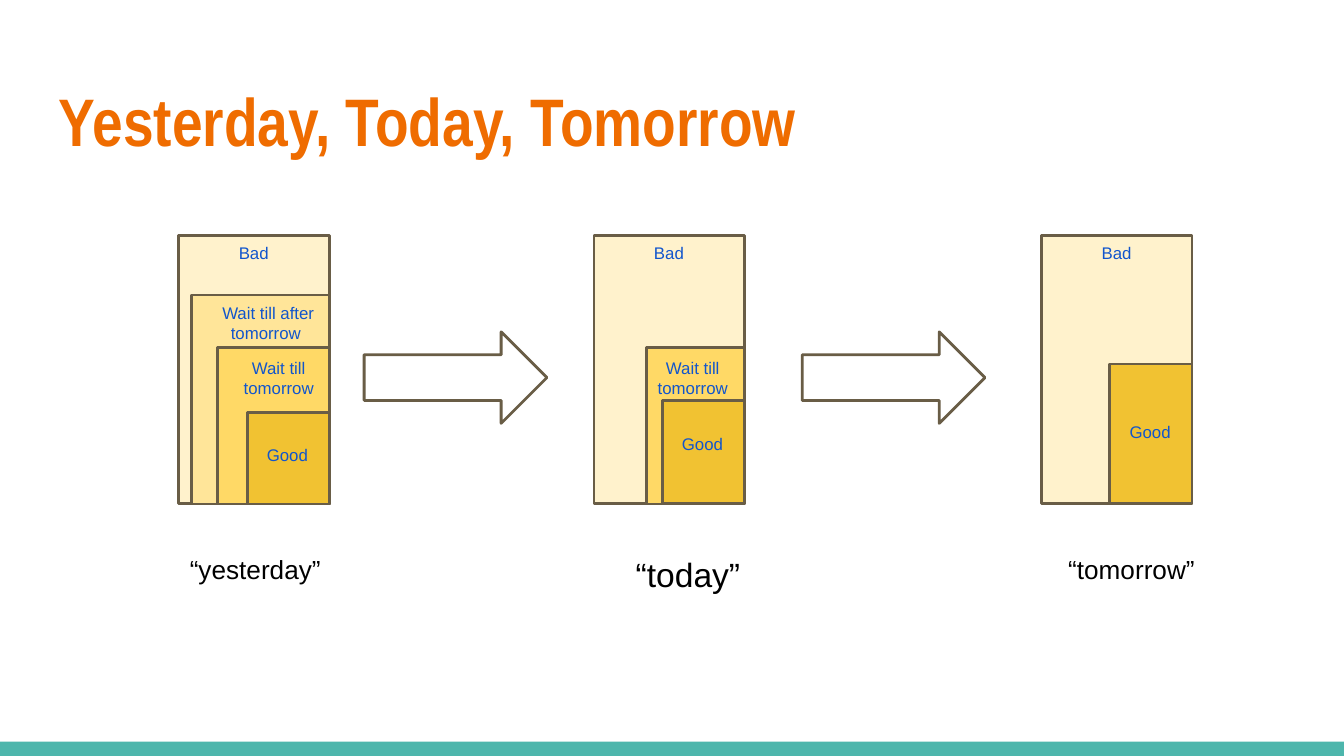
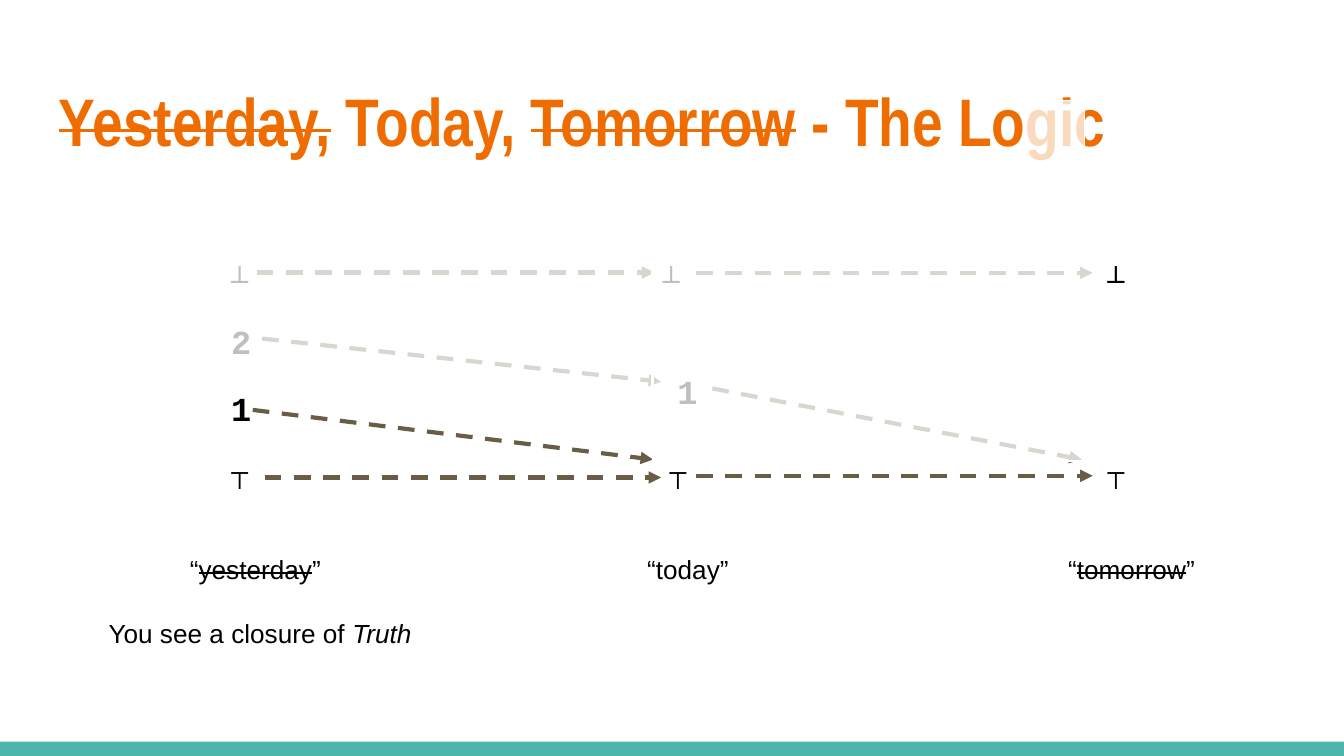
from lxml import etree
from pptx import Presentation
from pptx.dml.color import RGBColor
from pptx.enum import dml, shapes, text
from pptx.oxml import ns
from pptx.util import Pt

WIDTH, HEIGHT = 720, 405
TEAL, ORANGE, BROWN = "4DB6AC", "EF6C00", "695D46"
BLUE, BLACK, WHITE = "1155CC", "000000", "FFFFFF"
CREAM, PALE, YELLOW, GOLD = "FFF2CC", "FFE599", "FFD966", "F1C232"
INSET = 7.2
COLUMN_W, COLUMN_TOP, COLUMN_BOTTOM = 80.6, 126, 270
CAPTION_LEFTS = (79.2, 311, 548.6)

# Each column: left edge, then nested layers from outside in:
# text, fill, box width, box height, label's distance from the right edge,
# label top, label width
COLUMNS = [
    (95.8, [("Bad ", CREAM, 80.6, 144, 65.5, 124.6, 52.6),
            ("Wait till after tomorrow ", PALE, 74, 112, 65.5, 154.8, 65.5),
            ("Wait till tomorrow ", YELLOW, 60, 84, 53.4, 184.3, 52.6),
            ("Good ", GOLD, 44, 49, 47.5, 232.6, 52.6)]),
    (318.2, [("Bad ", CREAM, 80.6, 144, 65.5, 124.6, 52.6),
             ("Wait till tomorrow ", YELLOW, 52.5, 84, 54, 184.3, 52.6),
             ("Good ", GOLD, 44, 55.5, 47.5, 226.8, 52.6)]),
    (558, [("Bad ", CREAM, 80.6, 144, 65.5, 124.6, 52.6),
           ("Good ", GOLD, 44, 75, 47.5, 220.3, 52.6)]),
]

SYMBOLS = [
    ("⊤", 115.2, 236.9), ("⊤", 349.9, 236.9), ("⊤", 584.6, 236.9),
    ("⊥", 115.2, 126.7), ("⊥", 346.3, 126.7), ("⊥", 584.6, 126.7),
    ("1", 355, 191.5), ("1", 115.9, 200.9), ("2", 115.9, 164.9),
]

STEPS = [
    (137.5, 146, 350.6, 146), (373, 146.2, 585.4, 146.2),
    (141.8, 255.8, 354.2, 255.8), (373, 254.9, 585.4, 254.9),
    (381.6, 208.1, 579.6, 246.2), (140.4, 181.4, 354.2, 204.5),
    (135.4, 219.6, 349.9, 246.2),
]

VEILS = [(35.3, 136.1, 313.9, 74.9), (349.9, 107.3, 239.8, 139.7),
         (548.6, 54, 32.4, 36.7)]


def rgb(value):
    return RGBColor.from_string(value)


def add_box(s, x, y, w, h, fill, line=None, weight=1.5,
            kind=shapes.MSO_SHAPE.RECTANGLE):
    sp = s.shapes.add_shape(kind, Pt(x), Pt(y), Pt(w), Pt(h))
    sp.shadow.inherit = False
    sp.fill.solid()
    sp.fill.fore_color.rgb = rgb(fill)
    if line:
        sp.line.color.rgb = rgb(line)
        sp.line.width = Pt(weight)
    else:
        sp.line.fill.background()
    return sp


def add_veil(s, x, y, w, h):
    """White rectangle at 75% opacity that fades what lies behind it."""
    sp = add_box(s, x, y, w, h, WHITE, WHITE, 0.75)
    color = sp.fill._xPr.find(".//" + ns.qn("a:srgbClr"))
    etree.SubElement(color, ns.qn("a:alpha"), val="75000")


def set_font(r, size, color, name, bold):
    r.font.size = Pt(size)
    r.font.bold = bold
    r.font.color.rgb = rgb(color)
    r.font.name = name
    for tag in ("a:ea", "a:cs"):
        etree.SubElement(r.font._element, ns.qn(tag), typeface=name)


def add_text(s, x, y, w, h, runs, size, color=BLACK, name="Arial",
             bold=False, align=text.PP_ALIGN.CENTER):
    """Add a text box; runs is a string or a list of (text, style) pairs,
    where style is "", "strike" or "italic"."""
    tf = s.shapes.add_textbox(Pt(x), Pt(y), Pt(w), Pt(h)).text_frame
    tf.word_wrap = True
    tf.margin_left = tf.margin_right = Pt(INSET)
    tf.margin_top = tf.margin_bottom = Pt(INSET)
    p = tf.paragraphs[0]
    p.alignment = align
    if isinstance(runs, str):
        runs = [(runs, "")]
    for words, style in runs:
        r = p.add_run()
        r.text = words
        set_font(r, size, color, name, bold)
        if style == "italic":
            r.font.italic = True
        elif style == "strike":
            r.font._element.set("strike", "sngStrike")


def add_dashed_arrow(s, x1, y1, x2, y2):
    line = s.shapes.add_connector(shapes.MSO_CONNECTOR.STRAIGHT,
                                  Pt(x1), Pt(y1), Pt(x2), Pt(y2))
    line.line.color.rgb = rgb(BROWN)
    line.line.width = Pt(2.25)
    line.line.dash_style = dml.MSO_LINE.DASH
    etree.SubElement(line.line._get_or_add_ln(), ns.qn("a:tailEnd"),
                     type="triangle")
    etree.SubElement(line._element.spPr, ns.qn("a:effectLst"))


def add_slide(prs, title):
    s = prs.slides.add_slide(prs.slide_layouts[6])
    s.background.fill.solid()
    s.background.fill.fore_color.rgb = rgb(WHITE)
    add_box(s, 0, 397.4, WIDTH, HEIGHT - 397.4, TEAL)
    add_text(s, 24.5, 35.3, 671, 55.4, title, 36, ORANGE, "Arial Narrow",
             bold=True, align=text.PP_ALIGN.LEFT)
    return s


def add_captions(s, captions, sizes=(14, 14, 14)):
    for x, caption, size in zip(CAPTION_LEFTS, captions, sizes):
        add_text(s, x, 289.4, 115.2, 18.7, caption, size)


def add_column(s, left, layers):
    """Nested boxes sharing the bottom right corner, with their labels."""
    right = left + COLUMN_W
    for _, fill, w, h, *_ in layers:
        add_box(s, right - w, COLUMN_BOTTOM - h, w, h, fill, BROWN)
    for label, _, _, _, offset, top, w in layers:
        add_text(s, right - offset, top, w, 30.2, label, 9, BLUE)


def add_states_slide(prs):
    s = add_slide(prs, "Yesterday, Today, Tomorrow")
    for x in (195.1, 429.8):
        add_box(s, x, 177.8, 97.9, 49, WHITE, BROWN,
                kind=shapes.MSO_SHAPE.RIGHT_ARROW)
    add_captions(s, ("“yesterday”", "“today”", "“tomorrow”"), (14, 18, 14))
    for left, layers in COLUMNS:
        add_column(s, left, layers)


def add_logic_slide(prs):
    s = add_slide(prs, [("Yesterday,", "strike"), (" Today, ", ""),
                        ("Tomorrow", "strike"), (" - The Logic", "")])
    add_captions(s, ([("“", ""), ("yesterday", "strike"), ("”", "")],
                     "“today”",
                     [("“", ""), ("tomorrow", "strike"), ("”", "")]))
    for symbol, x, y in SYMBOLS:
        add_text(s, x, y, 26.6, 18.7, symbol, 18, name="Courier New", bold=True)
    for step in STEPS:
        add_dashed_arrow(s, *step)
    for veil in VEILS:
        add_veil(s, *veil)
    add_text(s, 51.1, 323.3, 629.3, 61.2,
             [("You see a closure of ", ""), ("Truth", "italic")], 14,
             align=text.PP_ALIGN.LEFT)


def main():
    prs = Presentation()
    prs.slide_width, prs.slide_height = Pt(WIDTH), Pt(HEIGHT)
    add_states_slide(prs)
    add_logic_slide(prs)
    prs.save("out.pptx")


if __name__ == "__main__":
    main()
